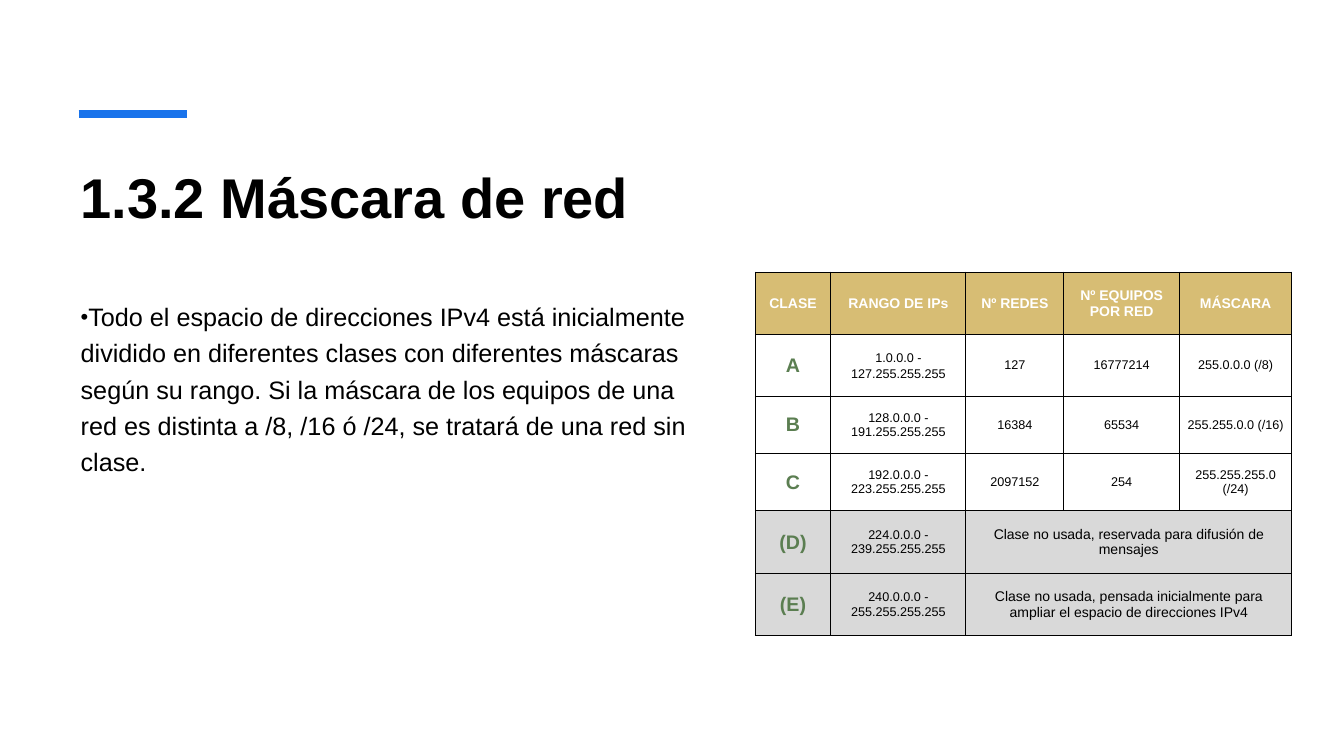
from lxml import etree
from pptx import Presentation
from pptx.dml.color import RGBColor
from pptx.enum import shapes, text
from pptx.oxml import ns
from pptx.util import Inches, Pt

TITLE = "1.3.2 Máscara de red"
EXPLANATION = (
    "Todo el espacio de direcciones IPv4 está inicialmente dividido en diferentes clases "
    "con diferentes máscaras según su rango. Si la máscara de los equipos de una red es "
    "distinta a /8, /16 ó /24, se tratará de una red sin clase."
)
HEADINGS = ["CLASE", "RANGO DE IPs", "Nº REDES", "Nº EQUIPOS POR RED", "MÁSCARA"]
CLASSES = [
    ["A", "1.0.0.0 - 127.255.255.255", "127", "16777214", "255.0.0.0 (/8)"],
    ["B", "128.0.0.0 - 191.255.255.255", "16384", "65534", "255.255.0.0 (/16)"],
    ["C", "192.0.0.0 - 223.255.255.255", "2097152", "254", "255.255.255.0 (/24)"],
    ["(D)", "224.0.0.0 - 239.255.255.255", "Clase no usada, reservada para difusión de mensajes"],
    ["(E)", "240.0.0.0 - 255.255.255.255",
     "Clase no usada, pensada inicialmente para ampliar el espacio de direcciones IPv4"],
]
COLUMN_WIDTHS = [0.75, 1.34, 0.97, 1.15, 1.11]
ROW_HEIGHTS = [0.62, 0.61, 0.57, 0.57, 0.62, 0.62]

FONT = "Arial"
BLACK = RGBColor(0x00, 0x00, 0x00)
WHITE = RGBColor(0xFF, 0xFF, 0xFF)
BLUE = RGBColor(0x19, 0x73, 0xEB)
GOLD = RGBColor(0xD7, 0xBD, 0x74)
GREEN = RGBColor(0x5B, 0x7E, 0x51)
GREY = RGBColor(0xD9, 0xD9, 0xD9)


def set_font(paragraph, size, color, bold=False):
    font = paragraph.font
    font.name, font.size, font.bold = FONT, Pt(size), bold
    font.color.rgb = color


def place(placeholder, left, top, width, height):
    placeholder.left, placeholder.top = Inches(left), Inches(top)
    placeholder.width, placeholder.height = Inches(width), Inches(height)
    frame = placeholder.text_frame
    frame.word_wrap = True
    frame.auto_size = text.MSO_AUTO_SIZE.NONE
    frame.vertical_anchor = text.MSO_ANCHOR.TOP
    return frame


def add_title(slide):
    frame = place(slide.shapes.title, 0.7, 1.5, 6.27, 1.2)
    frame.margin_top = Inches(0.11)
    frame.text = TITLE
    heading = frame.paragraphs[0]
    heading.alignment = text.PP_ALIGN.LEFT
    set_font(heading, 40, BLACK, True)


def add_accent(slide):
    accent = slide.shapes.add_connector(
        shapes.MSO_CONNECTOR.STRAIGHT, Inches(0.78), Inches(1.13), Inches(1.85), Inches(1.13))
    accent.line.color.rgb = BLUE
    accent.line.width = Pt(6)
    etree.SubElement(accent._element.spPr, ns.qn("a:effectLst"))


def add_explanation(slide):
    frame = place(slide.placeholders[1], 0.7, 2.88, 6.28, 4.01)
    frame.text = EXPLANATION
    explanation = frame.paragraphs[0]
    explanation.line_spacing = 1.2
    explanation.space_before = Pt(0)
    explanation.space_after = Pt(6)
    properties = explanation._p.get_or_add_pPr()
    properties.set("marL", "0")
    properties.set("indent", "0")
    etree.SubElement(properties, ns.qn("a:buSzPct"), val="87000")
    etree.SubElement(properties, ns.qn("a:buFont"), typeface=FONT)
    etree.SubElement(properties, ns.qn("a:buChar"), char="•")
    set_font(explanation, 18, BLACK)


def add_borders(cell):
    properties = cell._tc.get_or_add_tcPr()
    for position, side in enumerate(("lnL", "lnR", "lnT", "lnB")):
        border = etree.Element(ns.qn(f"a:{side}"), w=str(Pt(0.75)))
        fill = etree.SubElement(border, ns.qn("a:solidFill"))
        etree.SubElement(fill, ns.qn("a:srgbClr"), val=str(BLACK))
        properties.insert(position, border)


def cell_style(row, column, merged):
    if row == 0:
        return 10, WHITE, True
    if column == 0:
        return 14, GREEN, True
    return (10 if merged else 9), BLACK, False


def add_class_table(slide):
    rows = [HEADINGS] + CLASSES
    table = slide.shapes.add_table(
        len(rows), len(HEADINGS), Inches(7.49), Inches(2.7),
        Inches(sum(COLUMN_WIDTHS)), Inches(sum(ROW_HEIGHTS))).table
    table.horz_banding = False
    for column, width in zip(table.columns, COLUMN_WIDTHS):
        column.width = Inches(width)
    for r, (values, height) in enumerate(zip(rows, ROW_HEIGHTS)):
        table.rows[r].height = Inches(height)
        unused = len(values) < len(HEADINGS)
        if unused:
            table.cell(r, 2).merge(table.cell(r, len(HEADINGS) - 1))
        for c in range(len(HEADINGS)):
            cell = table.cell(r, c)
            cell.fill.solid()
            cell.fill.fore_color.rgb = GOLD if r == 0 else GREY if unused else WHITE
            add_borders(cell)
            if cell.is_spanned:
                continue
            cell.margin_left = cell.margin_right = Inches(0.06)
            cell.margin_top = cell.margin_bottom = Inches(0.06)
            cell.vertical_anchor = text.MSO_ANCHOR.MIDDLE
            cell.text = values[c]
            entry = cell.text_frame.paragraphs[0]
            entry.alignment = text.PP_ALIGN.CENTER
            set_font(entry, *cell_style(r, c, cell.is_merge_origin))
    table.cell(1, 1).text_frame.paragraphs[0].line_spacing = 1.15


def main():
    """Build the slide on network masks and IPv4 address classes."""
    deck = Presentation()
    deck.slide_width, deck.slide_height = Inches(13.33), Inches(7.5)
    slide = deck.slides.add_slide(deck.slide_layouts[1])
    add_title(slide)
    add_accent(slide)
    add_explanation(slide)
    add_class_table(slide)
    deck.save("out.pptx")


if __name__ == "__main__":
    main()
